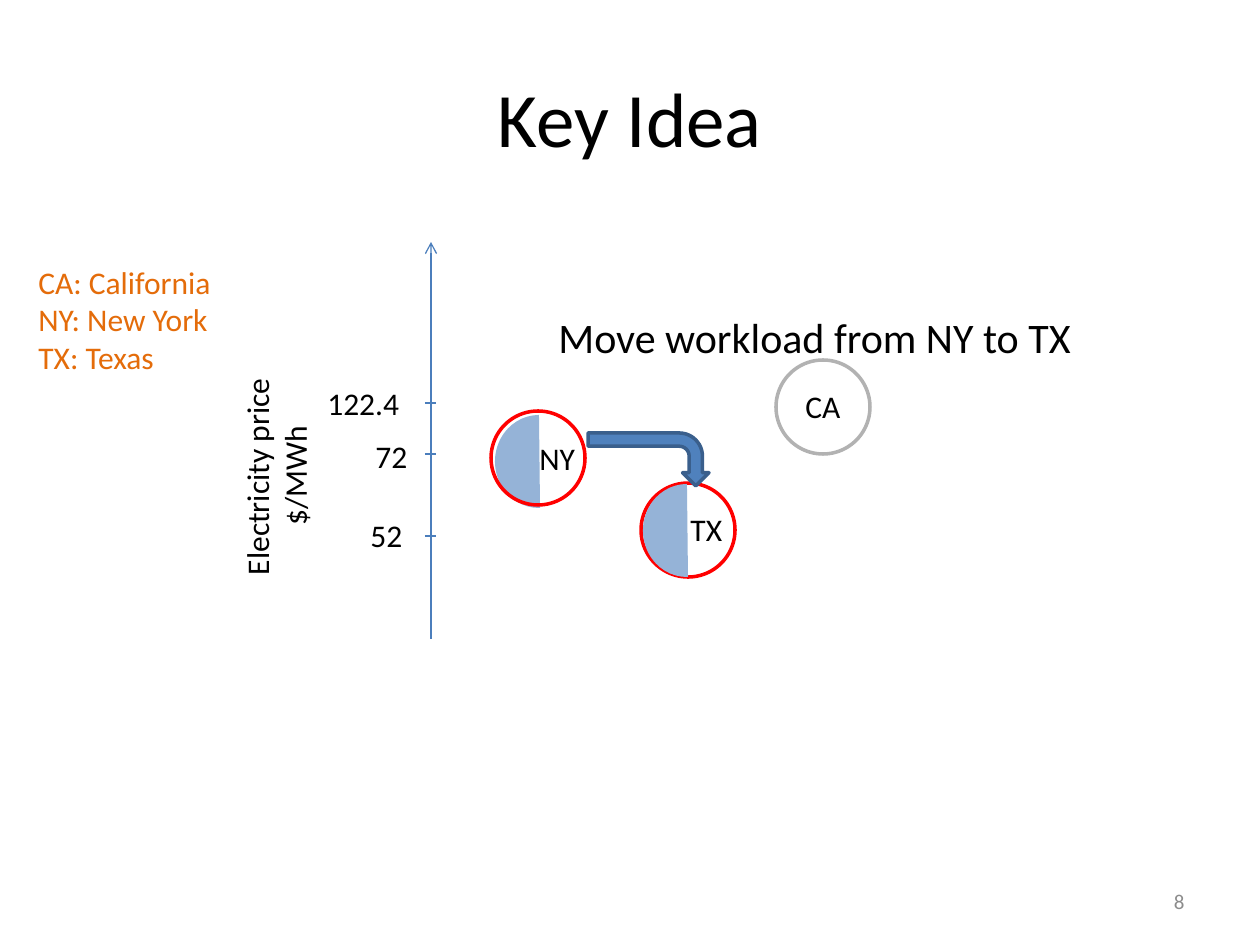
from lxml import etree
from pptx import Presentation
from pptx.dml.color import RGBColor
from pptx.enum.shapes import MSO_CONNECTOR, MSO_SHAPE
from pptx.enum.text import MSO_ANCHOR, MSO_AUTO_SIZE, PP_ALIGN
from pptx.oxml.ns import qn
from pptx.util import Pt

EMU_PER_PX = 914400 / 126
LEFT, CENTER, RIGHT = PP_ALIGN.LEFT, PP_ALIGN.CENTER, PP_ALIGN.RIGHT
MIDDLE = MSO_ANCHOR.MIDDLE
FIT_SHAPE, FIT_NONE = MSO_AUTO_SIZE.SHAPE_TO_FIT_TEXT, MSO_AUTO_SIZE.NONE
ELLIPSE, CHORD, BENT_ARROW = MSO_SHAPE.OVAL, MSO_SHAPE.CHORD, MSO_SHAPE.BENT_ARROW
STRAIGHT = MSO_CONNECTOR.STRAIGHT
BLACK, WHITE, GRAY, ORANGE = "000000", "FFFFFF", "8C8C8C", "E46C0A"
RED, SILVER, AXIS_BLUE = "FF0000", "B2B2B2", "4B7EBC"
HALF_BLUE, ARROW_BLUE, ARROW_EDGE = "95B3D7", "4F81BD", "3A5F8C"
CIRCLE = 94


def px(*lengths):
    return [round(length * EMU_PER_PX) for length in lengths]


def color(value):
    return RGBColor.from_string(value)


class SlideBuilder:
    """Holds the text style and the current page, and draws its elements."""

    def __init__(self, page, font="Calibri", size=18):
        self.page, self.font, self.size = page, font, size

    def text(self, area, lines, size=None, ink=BLACK, aligns=(LEFT,), rotation=0):
        box = self.page.shapes.add_textbox(*px(*area))
        box.rotation = rotation
        frame = box.text_frame
        frame.word_wrap, frame.auto_size = False, FIT_SHAPE
        frame.text = "\n".join(lines)
        style = {"name": self.font, "size": Pt(size or self.size)}
        for index, para in enumerate(frame.paragraphs):
            para.alignment = aligns[min(index, len(aligns) - 1)]
            for span in para.runs:
                for name, value in style.items():
                    setattr(span.font, name, value)
                span.font.color.rgb = color(ink)
        return box

    def placed_text(self, area, line, size, ink, align):
        frame = self.text(area, [line], size, ink, (align,)).text_frame
        settings = {"word_wrap": True, "auto_size": FIT_NONE, "vertical_anchor": MIDDLE}
        for name, value in settings.items():
            setattr(frame, name, value)

    def shape(self, kind, area, fill=None, line=None, rotation=0, adjustments=()):
        shape = self.page.shapes.add_shape(kind, *px(*area))
        shape.shadow.inherit = False
        shape.rotation = rotation
        for index, value in enumerate(adjustments):
            shape.adjustments[index] = value
        if fill:
            shape.fill.solid()
            shape.fill.fore_color.rgb = color(fill)
        else:
            shape.fill.background()
        if line:
            shape.line.color.rgb = color(line)
            shape.line.width = Pt(2)
        else:
            shape.line.fill.background()

    def circle(self, left, top, line, fill=None):
        self.shape(ELLIPSE, (left, top, CIRCLE, CIRCLE), fill, line)

    def half_load(self, left, top):
        self.shape(CHORD, (left, top, 88, 93), HALF_BLUE, adjustments=(53.22, 162))

    def line(self, start, end, arrow=False):
        connector = self.page.shapes.add_connector(STRAIGHT, *px(*start, *end))
        connector.line.color.rgb = color(AXIS_BLUE)
        connector.line.width = Pt(0.75)
        if arrow:
            outline = connector.line._get_or_add_ln()
            etree.SubElement(outline, qn("a:tailEnd"), type="arrow")
        etree.SubElement(connector._element.spPr, qn("a:effectLst"))


def main():
    deck = Presentation()
    deck.slide_width, deck.slide_height = px(1260, 945)
    builder = SlideBuilder(deck.slides.add_slide(deck.slide_layouts[6]))

    builder.placed_text((63, 38, 1134, 158), "Key Idea", 44, BLACK, CENTER)
    builder.circle(641, 483, RED, WHITE)
    builder.circle(776, 360, SILVER, WHITE)
    builder.line((431, 639), (431, 242), arrow=True)
    builder.text((164, 431, 224, 89), ["Electricity price", "$/MWh"],
                 aligns=(LEFT, CENTER), rotation=270)

    for left, top in ((495, 415), (643, 484)):
        builder.half_load(left, top)
    builder.circle(491, 411, RED)
    for name, left, top, width in (("TX", 678, 504, 58), ("CA", 793, 381, 60),
                                   ("NY", 527, 433, 62)):
        builder.text((left, top, width, 50), [name])

    for price, left, top, width, tick in (("52", 358, 510, 58, 536),
                                          ("72", 363, 431, 58, 454),
                                          ("122.4", 315, 378, 98, 403)):
        builder.text((left, top, width, 50), [price])
        builder.line((425, tick), (436, tick))

    builder.shape(BENT_ARROW, (622, 399, 53, 121), ARROW_BLUE, ARROW_EDGE, rotation=90)
    builder.placed_text((903, 876, 294, 50), "8", 12, GRAY, RIGHT)
    builder.text((26, 257, 200, 50), ["CA: California"], ink=ORANGE)
    builder.text((26, 294, 197, 89), ["NY: New York", "TX: Texas"], ink=ORANGE)
    builder.text((546, 305, 543, 63), ["Move workload from NY to TX"], 24)
    deck.save("out.pptx")


if __name__ == "__main__":
    main()
